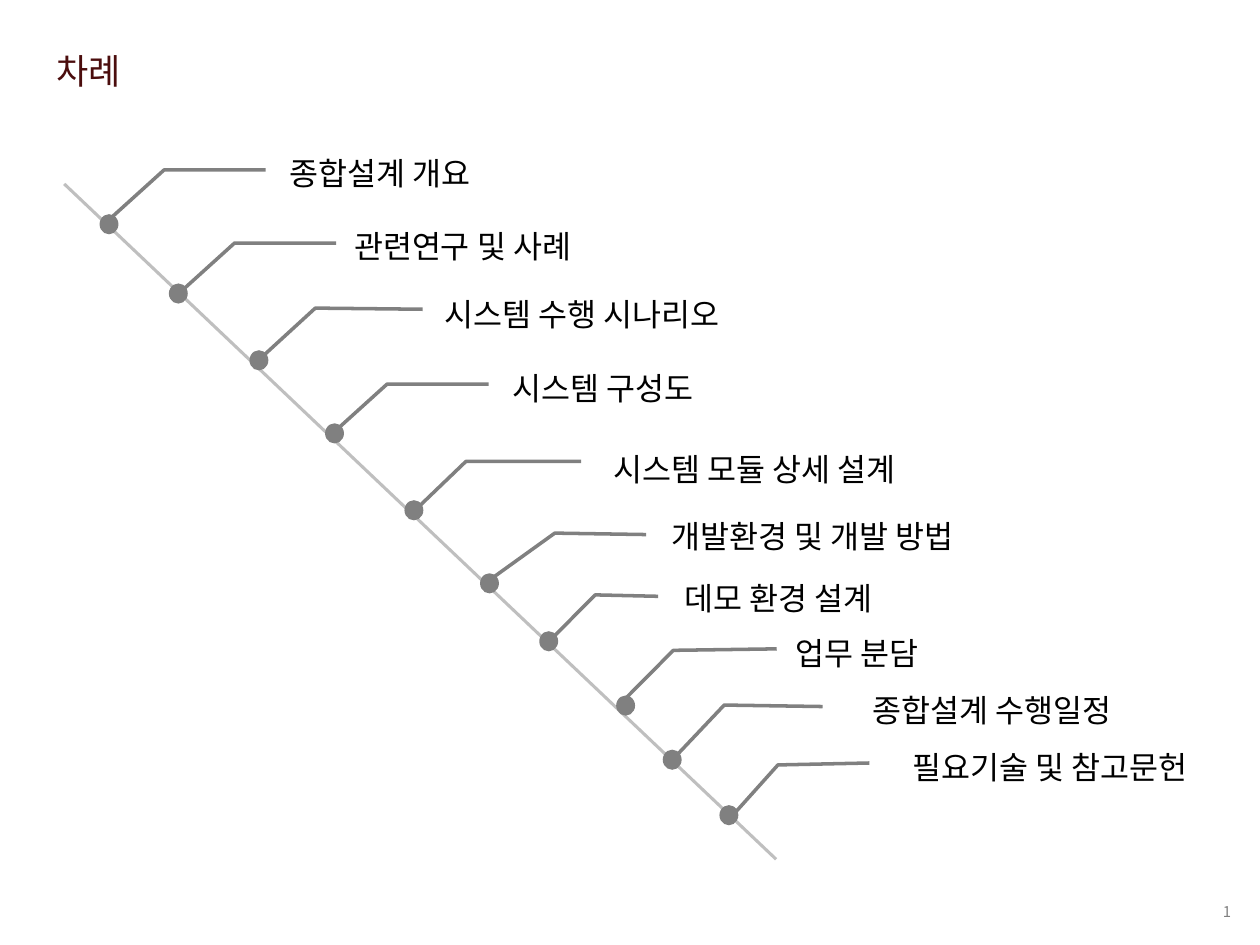
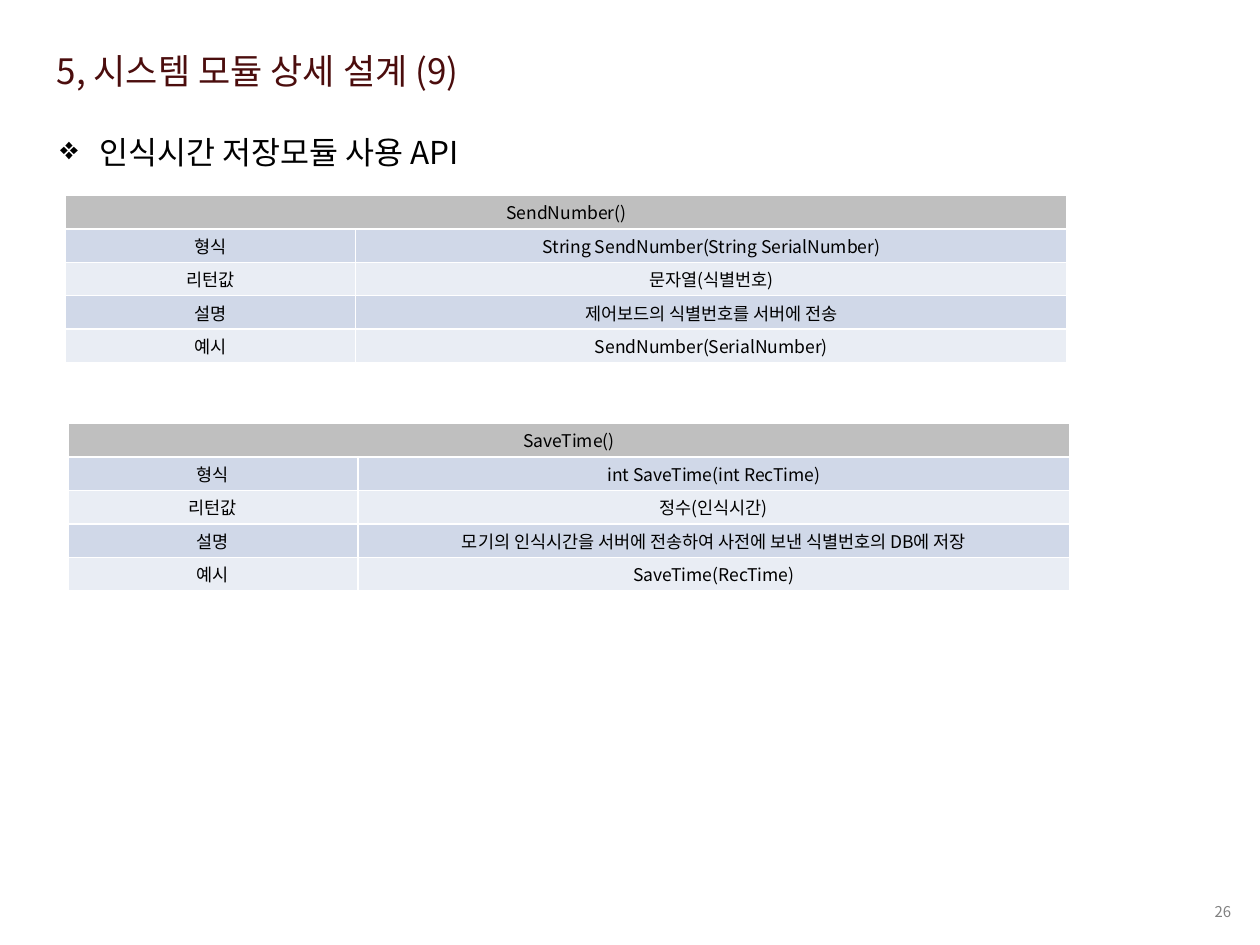
from lxml import etree
from pptx import Presentation
from pptx.dml.color import RGBColor
from pptx.enum.shapes import MSO_CONNECTOR, MSO_SHAPE
from pptx.enum.text import MSO_ANCHOR, MSO_AUTO_SIZE, PP_ALIGN
from pptx.oxml.ns import qn
from pptx.util import Inches, Pt

LEFT, CENTER, RIGHT = PP_ALIGN.LEFT, PP_ALIGN.CENTER, PP_ALIGN.RIGHT
MIDDLE = MSO_ANCHOR.MIDDLE
OVAL, CALLOUT = MSO_SHAPE.OVAL, MSO_SHAPE.LINE_CALLOUT_2_NO_BORDER
FACE = "Noto Sans CJK KR"
WINE, BLACK, GRAY, SILVER = "4B0D0D", "000000", "808080", "BFBFBF"
BANDS = ["D0D8E8", "E9EDF4"]
FRAME = {
    "word_wrap": True,
    "auto_size": MSO_AUTO_SIZE.NONE,
    "vertical_anchor": MIDDLE,
    "margin_top": 0,
    "margin_bottom": 0,
}
CELL = {
    "vertical_anchor": MIDDLE,
    "margin_top": Inches(0.03),
    "margin_bottom": Inches(0.03),
}


def hue(code):
    """Turn a hex string into a colour."""
    return RGBColor.from_string(code)


def write(frame, text, size, color=BLACK, align=CENTER):
    """Fill a text frame with one styled paragraph."""
    para = frame.paragraphs[0]
    para.alignment = align
    run = para.add_run()
    run.text = text
    font = run.font
    font.size, font.bold, font.name = Pt(size), False, FACE
    font.color.rgb = hue(color)
    latin = run._r.rPr.find(qn("a:latin"))
    east = etree.Element(qn("a:ea"), typeface=FACE)
    latin.addnext(east)


deck = Presentation()
deck.slide_width, deck.slide_height = Inches(10), Inches(7.5)

# Title and page number of each slide
slides = []
for title, width, page in [
    ("차례", 2.07, "1"),
    ("5, 시스템 모듈 상세 설계 (9)", 7.64, "26"),
]:
    slide = deck.slides.add_slide(deck.slide_layouts[5])
    head = slide.shapes.title
    head.left, head.top = Inches(0.35), Inches(0.34)
    head.width, head.height = Inches(width), Inches(0.44)
    foot = slide.shapes.add_textbox(
        Inches(7.76), Inches(7.1), Inches(2.11), Inches(0.27))
    for box in (head, foot):
        for key, value in FRAME.items():
            setattr(box.text_frame, key, value)
    write(head.text_frame, title, 20, WINE, LEFT)
    write(foot.text_frame, page, 8.5, GRAY, RIGHT)
    slides.append(slide)
agenda, module = slides

# Agenda: a falling line with a dot and a callout for each topic
line = agenda.shapes.add_connector(
    MSO_CONNECTOR.STRAIGHT,
    Inches(0.51), Inches(1.46), Inches(6.16), Inches(6.82))
line.line.color.rgb = hue(SILVER)
line.line.width = Pt(1.75)
etree.SubElement(line._element.spPr, qn("a:effectLst"))

# Leader points are y, x pairs as shares of the callout's size
BEND = (0.433, 0.17, 0.433, -0.123, 1.433, -0.28)
# Text, dot place, callout place and size, leader, shift of the text
topics = [
    ("종합설계 개요", (0.79, 1.7), (1.64, 1.18, 2.75, 0.39), BEND, 0),
    ("관련연구 및 사례", (1.34, 2.25), (2.2, 1.76, 2.75, 0.39), BEND, 0.19),
    ("시스템 수행 시나리오", (1.98, 2.78), (2.83, 2.3, 3.24, 0.38),
     (0.407, 0.162, 0.383, -0.101, 1.492, -0.243), 0.33),
    ("시스템 구성도", (2.58, 3.36), (3.41, 2.88, 2.75, 0.39), BEND, 0),
    ("시스템 모듈 상세 설계", (3.21, 3.97), (4.13, 3.53, 3.38, 0.38),
     (0.349, 0.143, 0.349, -0.128, 1.459, -0.258), 0.33),
    ("개발환경 및 개발 방법", (3.81, 4.55), (4.79, 4.06, 3.31, 0.39),
     (0.469, 0.102, 0.439, -0.117, 1.433, -0.28), 0),
    ("데모 환경 설계", (4.28, 5.01), (5, 4.55, 2.36, 0.39),
     (0.469, 0.095, 0.439, -0.117, 1.433, -0.28), 0),
    ("업무 분담", (4.89, 5.52), (5.62, 4.99, 2.36, 0.39),
     (0.409, 0.231, 0.439, -0.117, 1.433, -0.28), 0),
    ("종합설계 수행일정", (5.26, 5.95), (6.18, 5.44, 3.38, 0.38),
     (0.441, 0.103, 0.41, -0.128, 1.492, -0.243), 0),
    ("필요기술 및 참고문헌", (5.71, 6.39), (6.64, 5.9, 3.38, 0.38),
     (0.41, 0.077, 0.45, -0.138, 1.492, -0.243), 0),
]
for text, spot, area, bend, shift in topics:
    dot = agenda.shapes.add_shape(
        OVAL, *map(Inches, spot), Inches(0.15), Inches(0.16))
    dot.shadow.inherit = False
    dot.fill.solid()
    dot.fill.fore_color.rgb = hue(GRAY)
    dot.line.fill.background()

    note = agenda.shapes.add_shape(CALLOUT, *map(Inches, area))
    note.shadow.inherit = False
    note.fill.background()
    note.line.color.rgb = hue(GRAY)
    note.line.width = Pt(2)
    for i, share in enumerate(bend):
        note.adjustments[i] = share
    for key, value in FRAME.items():
        setattr(note.text_frame, key, value)
    note.text_frame.margin_left = Inches(0.1 + shift)
    write(note.text_frame, text, 18)

# Module: a bulleted heading over one table for each function
lead = module.shapes.add_textbox(
    Inches(0.38), Inches(1.01), Inches(7.86), Inches(0.4))
for key, value in FRAME.items():
    setattr(lead.text_frame, key, value)
props = lead.text_frame.paragraphs[0]._p.get_or_add_pPr()
props.set("marL", str(Inches(0.31)))
props.set("indent", str(-Inches(0.31)))
etree.SubElement(props, qn("a:buChar"), char="❖")
write(lead.text_frame, "인식시간 저장모듈 사용 API", 18, align=LEFT)

labels = ["형식", "리턴값", "설명", "예시"]
calls = [
    ("SendNumber()", 0.52, 1.55, [
        "String SendNumber(String SerialNumber)",
        "문자열(식별번호)",
        "제어보드의 식별번호를 서버에 전송",
        "SendNumber(SerialNumber)",
    ]),
    ("SaveTime()", 0.54, 3.36, [
        "int SaveTime(int RecTime)",
        "정수(인식시간)",
        "모기의 인식시간을 서버에 전송하여 사전에 보낸 식별번호의 DB에 저장",
        "SaveTime(RecTime)",
    ]),
]
for name, left, top, facts in calls:
    grid = module.shapes.add_table(
        5, 2, Inches(left), Inches(top), Inches(7.95), Inches(1.33)).table
    grid.columns[0].width, grid.columns[1].width = Inches(2.3), Inches(5.65)
    grid.cell(0, 0).merge(grid.cell(0, 1))
    rows = [(name,), *zip(labels, facts)]
    for r, row in enumerate(rows):
        for c, text in enumerate(row):
            cell = grid.cell(r, c)
            for key, value in CELL.items():
                setattr(cell, key, value)
            cell.fill.solid()
            cell.fill.fore_color.rgb = hue(BANDS[(r - 1) % 2] if r else SILVER)
            write(cell.text_frame, text, 10)

deck.save("out.pptx")
